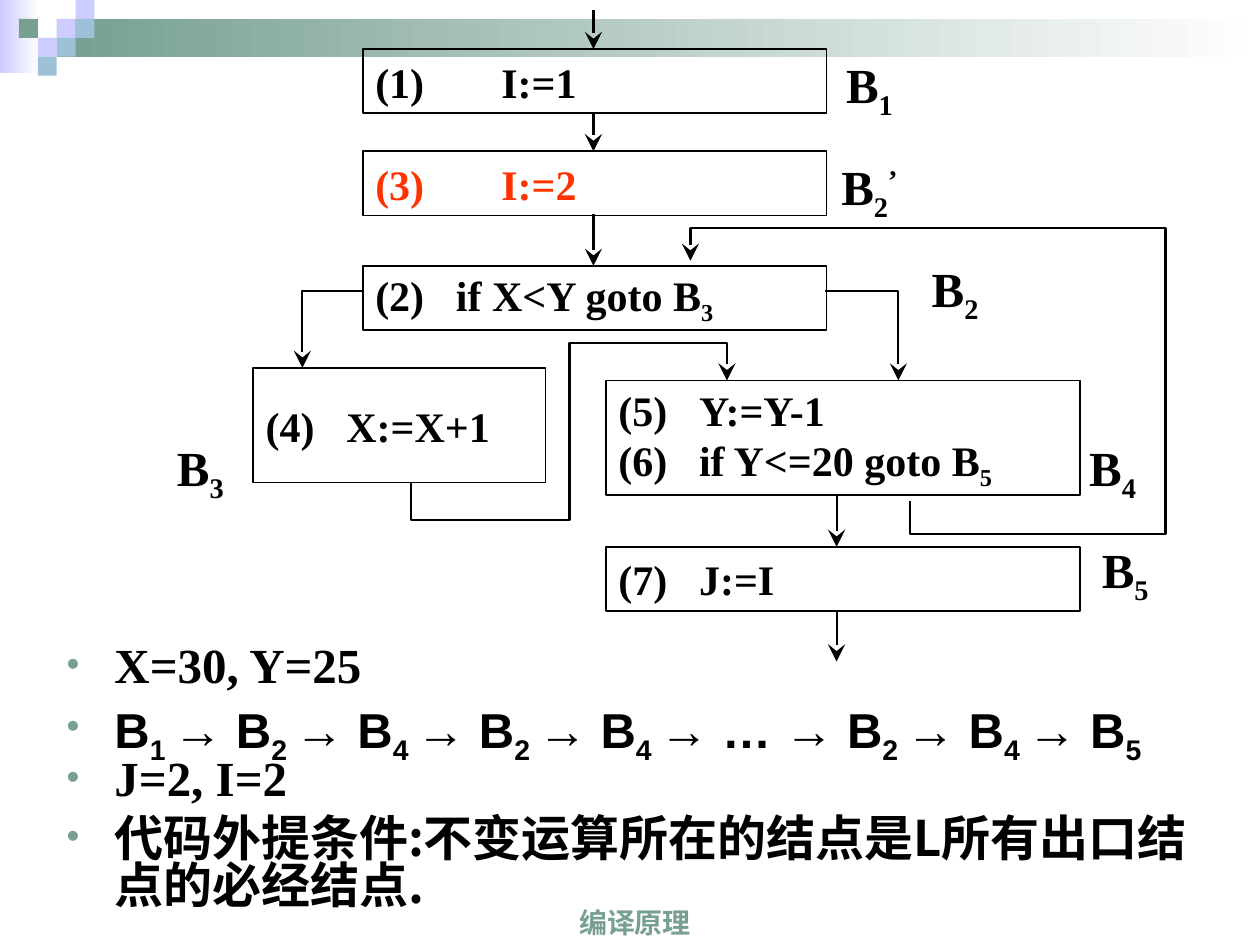
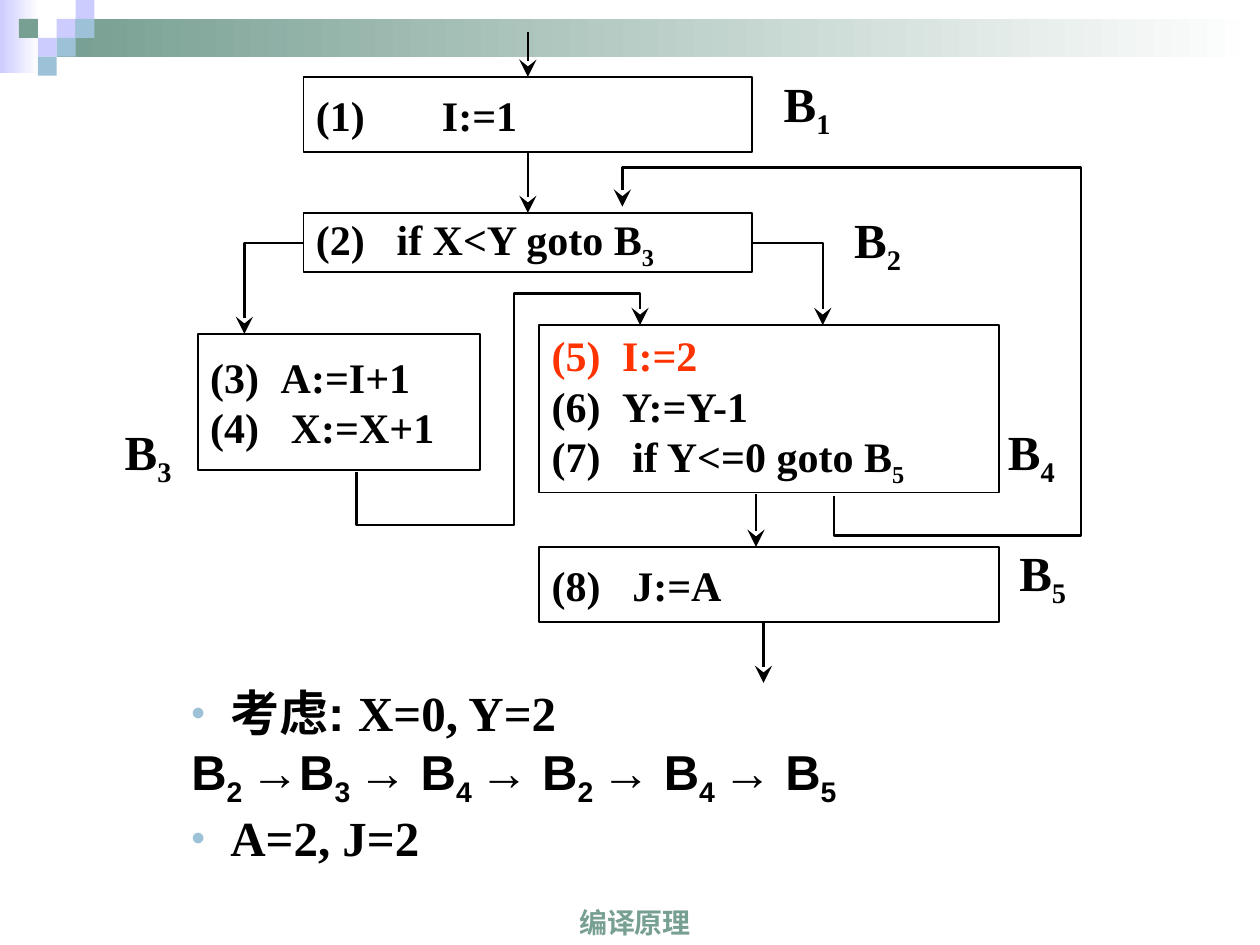
from lxml import etree
from pptx import Presentation
from pptx import util as u
from pptx.dml.color import RGBColor
from pptx.enum import shapes, text
from pptx.oxml import ns

PX = 9144
COLORS = {
    "black": "000000",
    "red": "FF3300",
    "green": "779F92",
    "blue": "9DC2D7",
    "lilac": "CCCCFF",
    "white": "FFFFFF",
}
SERIF, SANS, CJK = "Times New Roman", "Arial", "Noto Sans CJK SC"
BASELINES = {"_": "-25000", "^": "30000"}
SQUARE = 15
SQUARES = [
    (3, 1, "lilac"), (4, 0, "lilac"), (4, 1, "blue"), (2, 2, "lilac"),
    (1, 1, "green"), (3, 2, "blue"), (2, 3, "blue"),
]


def rgb(name):
    return RGBColor.from_string(COLORS[name])


def emu(*lengths):
    return [u.Emu(n * PX) for n in lengths]


def child(parent, tag, **attrs):
    return etree.SubElement(parent, ns.qn(tag), attrs)


def write(p, markup, size, font=SERIF, color="black"):
    for piece in markup.split("|"):
        base = BASELINES.get(piece[0])
        r = p.add_run()
        r.text = piece[1:] if base else piece
        r.font.size = u.Pt(size)
        r.font.bold = True
        r.font.name = font
        r.font.color.rgb = rgb(color)
        rPr = r.font._element
        child(rPr, "a:ea", typeface=CJK)
        if base:
            rPr.set("baseline", base)


def paragraphs(tf, items):
    for i, item in enumerate(items):
        yield tf.add_paragraph() if i else tf.paragraphs[0], item


def text_box(s, box, anchor, wrap):
    tf = s.shapes.add_textbox(*emu(*box)).text_frame
    tf.word_wrap = wrap
    tf.vertical_anchor = anchor
    return tf


def rectangle(s, box):
    sp = s.shapes.add_shape(shapes.MSO_SHAPE.RECTANGLE, *emu(*box))
    sp.shadow.inherit = False
    return sp


def stroke(line, width, arrow=False):
    line.color.rgb = rgb("black")
    line.width = u.Pt(width)
    if arrow:
        child(line._get_or_add_ln(), "a:tailEnd", type="stealth", w="lg", len="lg")


def band(s, box, color):
    sp = rectangle(s, box)
    sp.line.fill.background()
    sp.fill.gradient()
    sp.fill.gradient_angle = 0
    for stop, name in zip(sp.fill.gradient_stops, (color, "white")):
        stop.color.rgb = rgb(name)


def header(s, box):
    x, y, w, h = box
    band(s, (x, y, 31, h), "lilac")
    band(s, (x + 45, y + 15, w - 45, 30), "green")
    for col, row, color in SQUARES:
        sp = rectangle(s, (x + col * SQUARE, y + row * SQUARE, SQUARE, SQUARE))
        sp.fill.solid()
        sp.fill.fore_color.rgb = rgb(color)
        sp.line.fill.background()


def footer(s, box):
    p = text_box(s, box, text.MSO_ANCHOR.BOTTOM, True).paragraphs[0]
    p.alignment = text.PP_ALIGN.CENTER
    write(p, "编译原理", 16, SANS, "green")


def code_block(s, box, lines):
    sp = rectangle(s, box)
    sp.fill.background()
    stroke(sp.line, 1)
    tf = sp.text_frame
    tf.word_wrap = False
    tf.vertical_anchor = text.MSO_ANCHOR.MIDDLE
    for p, (code, gap, color) in paragraphs(tf, lines):
        p.alignment = text.PP_ALIGN.LEFT
        tabs = child(p._p.get_or_add_pPr(), "a:tabLst")
        child(tabs, "a:tab", pos=str(gap * PX), algn="l")
        write(p, code, 24, color=color)


def block_label(s, box, name):
    tf = text_box(s, box, text.MSO_ANCHOR.MIDDLE, False)
    tf.margin_left = tf.margin_right = 0
    p = tf.paragraphs[0]
    p.alignment = text.PP_ALIGN.CENTER
    write(p, name, 28)


def arrow(s, x, top, bottom):
    c = s.shapes.add_connector(shapes.MSO_CONNECTOR.STRAIGHT, *emu(x, top, x, bottom))
    stroke(c.line, 1.25, arrow=True)
    child(c._element.spPr, "a:effectLst")


def route(s, points):
    outline = s.shapes.build_freeform(*points[0], scale=PX)
    outline.add_line_segments(points[1:], close=False)
    sp = outline.convert_to_shape()
    sp.shadow.inherit = False
    sp.fill.background()
    stroke(sp.line, 1.25, arrow=True)


def flow_graph(s, box, graph):
    left, top = box
    for (x, y, w, h), lines in graph["blocks"]:
        code_block(s, (left + x, top + y, w, h), lines)
    for x, y, name in graph["labels"]:
        block_label(s, (left + x, top + y, *graph["label_size"]), name)
    for x, start, end in graph["arrows"]:
        arrow(s, left + x, top + start, top + end)
    for points in graph["routes"]:
        route(s, [(left + x, top + y) for x, y in points])


def bullets(s, box, items, style):
    tf = text_box(s, box, text.MSO_ANCHOR.TOP, True)
    for p, (parts, bulleted, before) in paragraphs(tf, items):
        p.level = style["level"]
        p.line_spacing = style["spacing"]
        p.space_before = u.Pt(before)
        pPr = p._p.get_or_add_pPr()
        pPr.set("marL", str(style["margin"] * PX))
        pPr.set("indent", str(-style["hang"] * PX))
        if bulleted:
            child(child(pPr, "a:buClr"), "a:srgbClr", val=COLORS[style["color"]])
            child(pPr, "a:buSzPct", val=style["size"])
            child(pPr, "a:buFont", typeface=SANS)
            child(pPr, "a:buChar", char="•")
        else:
            child(pPr, "a:buNone")
        for markup, font in parts:
            write(p, markup, 28, font)


HOISTED = {
    "blocks": [
        ((155, 31, 368, 51), [("(1)\tI:=1", 100, "black")]),
        ((155, 112, 368, 51), [("(3)\tI:=2", 100, "red")]),
        ((155, 203, 368, 51), [("(2)\tif X<Y goto B|_3", 64, "black")]),
        ((68, 284, 232, 91), [("(4)\tX:=X+1", 64, "black")]),
        ((348, 294, 376, 91), [("(5)\tY:=Y-1", 64, "black"),
                               ("(6)\tif Y<=20 goto B|_5", 64, "black")]),
        ((348, 426, 376, 51), [("(7)\tJ:=I", 64, "black")]),
    ],
    "label_size": (52, 61),
    "labels": [(531, 31, "B|_1"), (531, 112, "B|_2|^’"), (599, 193, "B|_2"),
               (0, 335, "B|_3"), (724, 335, "B|_4"), (734, 416, "B|_5")],
    "arrows": [(338, 0, 31), (338, 81, 112), (338, 162, 203),
               (531, 385, 426), (531, 476, 517)],
    "routes": [
        [(155, 223), (107, 223), (107, 284)],
        [(522, 223), (580, 223), (580, 294)],
        [(589, 390), (589, 416), (792, 416), (792, 173), (415, 173), (415, 199)],
        [(193, 375), (193, 405), (319, 405), (319, 264), (444, 264), (444, 294)],
    ],
}
HOISTED_NOTES = [
    ([("X=30, Y=25", SERIF)], True, 0),
    ([("B|_1 |→ B|_2 |→ B|_4 |→ B|_2 |→ B|_4 |→ … → B|_2 |→ B|_4 |→ B|_5", SANS)], True, 7),
    ([("J=2, I=2", SERIF)], True, 0),
    ([("代码外提条件:不变运算所在的结点是L所有出口结点的必经结点.", CJK)], True, 7),
]
HOISTED_STYLE = {"level": 0, "spacing": 0.8, "margin": 38, "hang": 38,
                 "color": "green", "size": "75000"}

UNHOISTED = {
    "blocks": [
        ((149, 36, 356, 60), [("(1)\tI:=1", 100, "black")]),
        ((149, 144, 356, 47), [("(2)\tif X<Y goto B|_3", 64, "black")]),
        ((65, 240, 224, 108), [("(3)\tA:=I+1", 56, "black"),
                               ("(4)\tX:=X+1", 64, "black")]),
        ((336, 233, 365, 133), [("(5)\tI:=2", 56, "red"),
                                ("(6)\tY:=Y-1", 56, "black"),
                                ("(7)\tif Y<=0 goto B|_5", 64, "black")]),
        ((336, 409, 365, 60), [("(8)\tJ:=A", 64, "black")]),
    ],
    "label_size": (51, 72),
    "labels": [(523, 24, "B|_1"), (579, 132, "B|_2"), (0, 300, "B|_3"),
               (701, 300, "B|_4"), (710, 396, "B|_5")],
    "arrows": [(327, 0, 36), (327, 96, 144), (508, 367, 409), (514, 469, 517)],
    "routes": [
        [(149, 168), (102, 168), (102, 240)],
        [(505, 168), (561, 168), (561, 233)],
        [(570, 369), (570, 400), (766, 400), (766, 108), (402, 108), (402, 139)],
        [(191, 350), (191, 392), (316, 392), (316, 208), (416, 208), (416, 233)],
    ],
}
UNHOISTED_NOTES = [
    ([("考虑: ", SANS), ("X=0, Y=2", SERIF)], True, 0),
    ([("B|_2 |→B|_3 |→ B|_4 |→ B|_2 |→ B|_4 |→ B|_5", SANS)], False, 0),
    ([("A=2, J=2", SERIF)], True, 7),
]
UNHOISTED_STYLE = {"level": 1, "spacing": 0.9, "margin": 81, "hang": 31,
                   "color": "blue", "size": "80000"}


def graph_slide(prs, origin, graph, notes_box, notes, style):
    s = prs.slides.add_slide(prs.slide_layouts[6])
    header(s, (0, 0, 1000, 58))
    footer(s, (327, 700, 354, 50))
    flow_graph(s, origin, graph)
    bullets(s, notes_box, notes, style)


def main():
    prs = Presentation()
    prs.slide_width, prs.slide_height = emu(1000, 750)
    graph_slide(prs, (133, 8), HOISTED, (43, 508, 921, 242), HOISTED_NOTES, HOISTED_STYLE)
    graph_slide(prs, (92, 25), UNHOISTED, (92, 542, 850, 158), UNHOISTED_NOTES, UNHOISTED_STYLE)
    prs.save("out.pptx")


if __name__ == "__main__":
    main()
